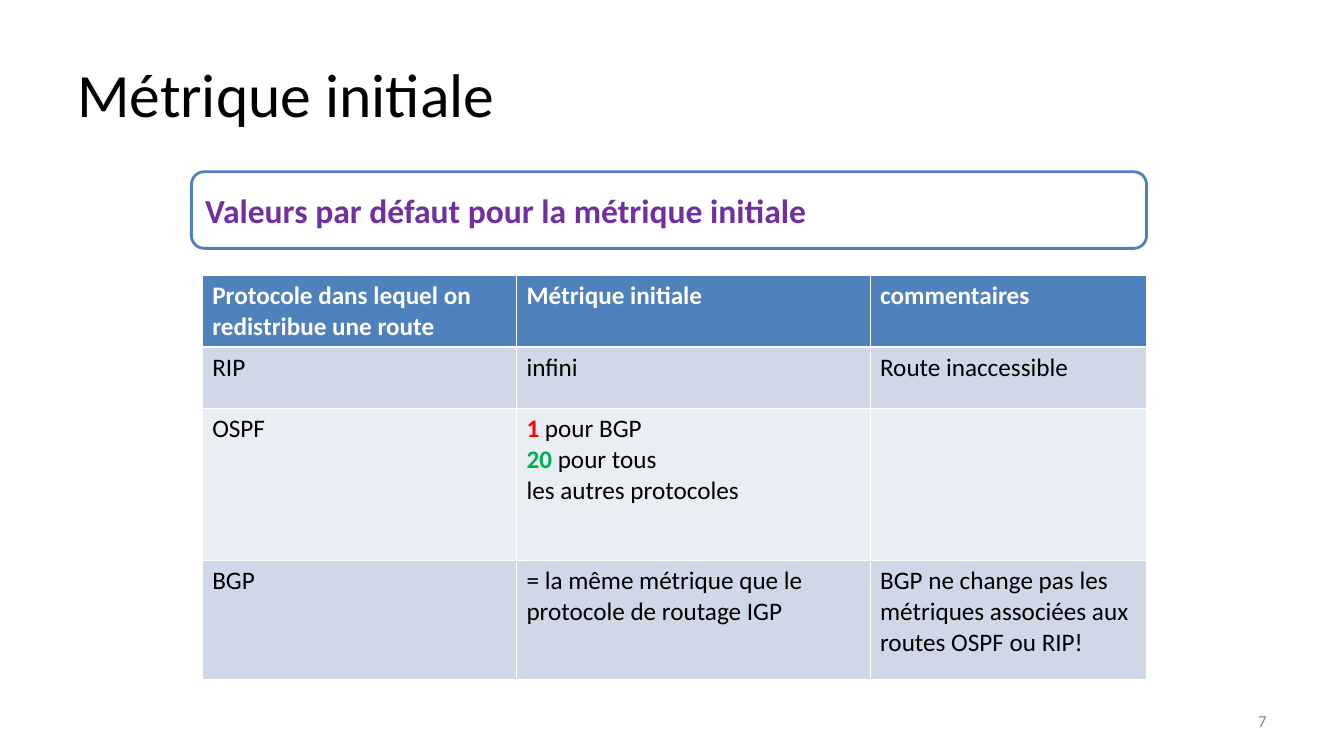
from lxml import etree
from pptx import Presentation
from pptx.dml.color import RGBColor
from pptx.enum.shapes import MSO_SHAPE
from pptx.enum.text import MSO_ANCHOR, PP_ALIGN
from pptx.oxml.ns import qn
from pptx.util import Pt

ROUNDED = MSO_SHAPE.ROUNDED_RECTANGLE
MIDDLE = MSO_ANCHOR.MIDDLE
LEFT, RIGHT = PP_ALIGN.LEFT, PP_ALIGN.RIGHT

FONT = "Calibri"
WHITE = RGBColor(0xFF, 0xFF, 0xFF)
BLACK = RGBColor(0x00, 0x00, 0x00)
BLUE = RGBColor(0x4F, 0x81, 0xBD)
BAND_DARK = RGBColor(0xD0, 0xD8, 0xE8)
BAND_LIGHT = RGBColor(0xE9, 0xED, 0xF4)
PURPLE = RGBColor(0x70, 0x30, 0xA0)
RED = RGBColor(0xFF, 0x00, 0x00)
GREEN = RGBColor(0x00, 0xB0, 0x50)
GREY = RGBColor(0x89, 0x89, 0x89)

COLUMN_WIDTHS = (224.6, 252.7, 197.3)
ROW_HEIGHTS = (50.4, 43.9, 108.7, 85)
THIN, THICK = 0.45, 1.47

# A cell is a text, or a list of paragraphs made of (text, highlight colour) spans.
ROWS = (
    ("Protocole dans lequel on redistribue une route", "Métrique initiale", "commentaires"),
    ("RIP", "infini", "Route inaccessible"),
    ("OSPF",
     [[("1", RED), (" pour BGP", None)],
      [("20", GREEN), (" pour tous", None)],
      [("les autres protocoles", None)]],
     ""),
    ("BGP", "= la même métrique que le protocole de routage IGP",
     "BGP ne change pas les métriques associées aux routes OSPF ou RIP!"),
)


def add_span(para, text, size=18, color=BLACK, bold=False):
    span = para.add_run()
    span.text = text
    span.font.name = FONT
    span.font.size = Pt(size)
    span.font.bold = bold
    span.font.color.rgb = color


def write_line(shape, text, align=LEFT, **style):
    """Put one vertically centred line of text in a box or shape."""
    frame = shape.text_frame
    frame.word_wrap = True
    frame.vertical_anchor = MIDDLE
    para = frame.paragraphs[0]
    para.alignment = align
    add_span(para, text, **style)


def add_text(page, text, left, top, width, height, **style):
    box = page.shapes.add_textbox(Pt(left), Pt(top), Pt(width), Pt(height))
    write_line(box, text, **style)


def add_banner(page, text, left, top, width, height, **style):
    banner = page.shapes.add_shape(ROUNDED, Pt(left), Pt(top), Pt(width), Pt(height))
    banner.shadow.inherit = False
    banner.fill.solid()
    banner.fill.fore_color.rgb = WHITE
    banner.line.color.rgb = BLUE
    banner.line.width = Pt(2)
    write_line(banner, text, **style)


def set_borders(cell, top, bottom):
    """Draw white borders; they must precede the fill in the cell properties."""
    properties = cell._tc.get_or_add_tcPr()
    widths = {"a:lnL": THIN, "a:lnR": THIN, "a:lnT": top, "a:lnB": bottom}
    for position, (tag, width) in enumerate(widths.items()):
        border = etree.Element(qn(tag), w=str(Pt(width)))
        fill = etree.SubElement(border, qn("a:solidFill"))
        etree.SubElement(fill, qn("a:srgbClr"), val=str(WHITE))
        properties.insert(position, border)


def fill_cell(cell, content, color, bold):
    frame = cell.text_frame
    paragraphs = [[(content, None)]] if isinstance(content, str) else content
    for number, spans in enumerate(paragraphs):
        para = frame.add_paragraph() if number else frame.paragraphs[0]
        para.font.size = Pt(18)
        for text, highlight in spans:
            if text:
                add_span(para, text, color=highlight or color, bold=bold or bool(highlight))


def add_metric_table(page, left, top):
    frame = page.shapes.add_table(len(ROWS), len(COLUMN_WIDTHS), Pt(left), Pt(top),
                                  Pt(sum(COLUMN_WIDTHS)), Pt(sum(ROW_HEIGHTS)))
    table = frame.table
    for column, width in zip(table.columns, COLUMN_WIDTHS):
        column.width = Pt(width)
    for row, height in zip(table.rows, ROW_HEIGHTS):
        row.height = Pt(height)
    for row_index, contents in enumerate(ROWS):
        header = row_index == 0
        band = BLUE if header else BAND_DARK if row_index % 2 else BAND_LIGHT
        for column_index, content in enumerate(contents):
            cell = table.cell(row_index, column_index)
            cell.fill.solid()
            cell.fill.fore_color.rgb = band
            set_borders(cell, top=THICK if row_index == 1 else THIN,
                        bottom=THICK if header else THIN)
            fill_cell(cell, content, WHITE if header else BLACK, header)


def main():
    deck = Presentation()
    deck.slide_width, deck.slide_height = Pt(960.5), Pt(540)
    page = deck.slides.add_slide(deck.slide_layouts[6])
    add_metric_table(page, 144.5, 196.8)
    add_text(page, "Métrique initiale", 48, 21.6, 864, 90, size=44)
    add_text(page, "7", 688.3, 500.5, 224, 28.8, align=RIGHT, size=12, color=GREY)
    add_banner(page, "Valeurs par défaut pour la métrique initiale",
               136.8, 122.7, 682.6, 54.7, size=24, color=PURPLE, bold=True)
    deck.save("out.pptx")


if __name__ == "__main__":
    main()
